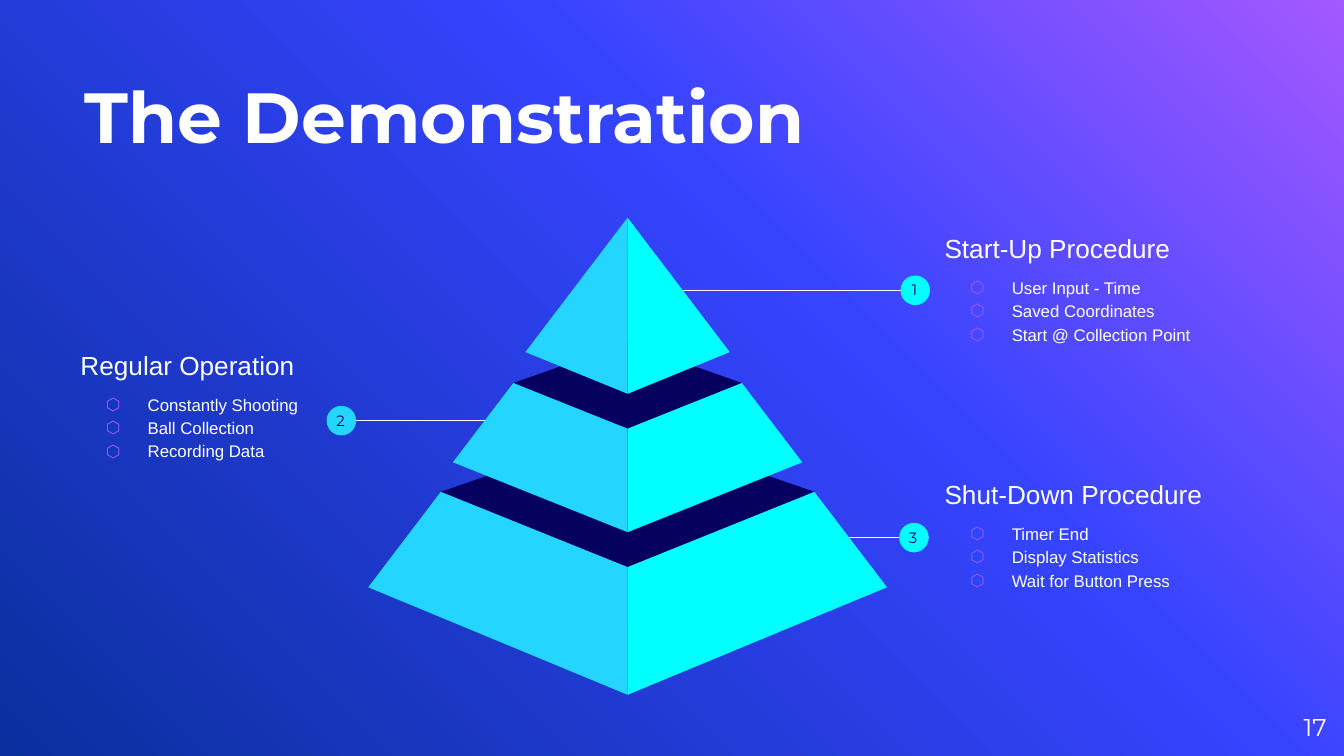
from copy import deepcopy

from lxml import etree
from pptx import Presentation
from pptx.dml.color import RGBColor
from pptx.enum.shapes import MSO_CONNECTOR, MSO_SHAPE
from pptx.enum.text import MSO_ANCHOR, MSO_AUTO_SIZE, PP_ALIGN
from pptx.oxml.ns import qn
from pptx.util import Inches, Pt

STRAIGHT = MSO_CONNECTOR.STRAIGHT
OVAL = MSO_SHAPE.OVAL
TOP, MIDDLE, BOTTOM = MSO_ANCHOR.TOP, MSO_ANCHOR.MIDDLE, MSO_ANCHOR.BOTTOM
LEFT, CENTER, RIGHT = PP_ALIGN.LEFT, PP_ALIGN.CENTER, PP_ALIGN.RIGHT
NO_AUTOFIT = MSO_AUTO_SIZE.NONE

COLORS = {
    "white": "FFFFFF",
    "violet": "A458FF",
    "blue": "3544FF",
    "navy": "0A2F9E",
    "ink": "050060",
    "cyan": "00FFFF",
    "sky": "24D6FF",
}


def paint(fill, color):
    fill.solid()
    fill.fore_color.rgb = RGBColor.from_string(COLORS[color])


def write(box, lines, size, font, color="white", align=LEFT, anchor=MIDDLE, inset=0.1):
    frame = box.text_frame
    frame.word_wrap = True
    frame.auto_size = NO_AUTOFIT
    frame.vertical_anchor = anchor
    frame.margin_left = frame.margin_right = Inches(inset)
    frame.margin_top = frame.margin_bottom = Inches(inset)
    frame.text = "\n".join(lines)
    for paragraph in frame.paragraphs:
        paragraph.alignment = align
        paragraph.font.size = Pt(size)
        paragraph.font.name = font
        paragraph.font.color.rgb = RGBColor.from_string(COLORS[color])
    return frame.paragraphs


prs = Presentation()
prs.slide_width = Inches(10)
prs.slide_height = prs.slide_width * 9 // 16
slide = prs.slides.add_slide(prs.slide_layouts[5])
shapes = slide.shapes

backdrop = slide.background.fill
backdrop.gradient()
backdrop.gradient_angle = 225
stop_list = slide.element.find(".//" + qn("a:gsLst"))
stop_list.append(deepcopy(stop_list[-1]))
gradient = [(0, "violet"), (0.39, "blue"), (1, "navy")]
for stop, (position, color) in zip(backdrop.gradient_stops, gradient):
    stop.position = position
    stop.color.rgb = RGBColor.from_string(COLORS[color])

title = shapes.title
title.left, title.top = Inches(0.63), Inches(0.23)
title.width, title.height = Inches(6.58), Inches(0.94)
heading = write(title, ["The Demonstration"], 38, "Montserrat", anchor=BOTTOM, inset=0)[0]
heading.font.bold = True

page_number = shapes.add_textbox(Inches(9.27), Inches(5.19), Inches(0.6), Inches(0.43))
write(page_number, ["17"], 13, "Montserrat", align=RIGHT, inset=0)

stages = [
    ("3", "Shut-Down Procedure", ["Timer End", "Display Statistics", "Wait for Button Press"],
     (6.93, 3.22, 2.17), (6.27, 6.91, 4.0), 6.8, "cyan"),
    ("2", "Regular Operation", ["Constantly Shooting", "Ball Collection", "Recording Data"],
     (0.5, 2.26, 1.91), (3.64, 2.5, 3.13), 2.54, "sky"),
    ("1", "Start-Up Procedure", ["User Input - Time", "Saved Coordinates", "Start @ Collection Point"],
     (6.93, 1.39, 2.17), (5.03, 6.91, 2.16), 6.81, "cyan"),
]
for number, stage, steps, (left, top, width), (start, end, y), badge_x, color in stages:
    leader = shapes.add_connector(STRAIGHT, Inches(start), Inches(y), Inches(end), Inches(y))
    leader.line.width = Pt(0.75)
    paint(leader.line.fill, "white")
    etree.SubElement(leader.element.spPr, qn("a:effectLst"))

    description = shapes.add_textbox(Inches(left), Inches(top), Inches(width), Inches(1.51))
    paragraphs = write(description, [stage] + steps, 14, "Arial")
    paragraphs[1].space_before = Pt(6)
    for step in paragraphs[1:]:
        step.font.size = Pt(9)
        step.line_spacing = 1.15
        properties = step._p.get_or_add_pPr()
        properties.set("marL", str(Inches(0.5)))
        properties.set("indent", str(Inches(-0.31)))
        bullet_color = etree.Element(qn("a:buClr"))
        etree.SubElement(bullet_color, qn("a:srgbClr"), val=COLORS["violet"])
        bullet_size = etree.Element(qn("a:buSzPts"), val="900")
        bullet_font = etree.Element(qn("a:buFont"), typeface="Arial")
        bullet = etree.Element(qn("a:buChar"), char="⬡")
        defaults = properties.find(qn("a:defRPr"))
        for part in (bullet_color, bullet_size, bullet_font, bullet):
            defaults.addprevious(part)

    badge = shapes.add_shape(OVAL, Inches(badge_x - 0.11), Inches(y - 0.11), Inches(0.22), Inches(0.22))
    badge.shadow.inherit = False
    badge.line.fill.background()
    paint(badge.fill, color)

    label = shapes.add_textbox(Inches(badge_x - 0.14), Inches(y - 0.17), Inches(0.27), Inches(0.34))
    digit = write(label, [number], 8, "Montserrat", "ink", CENTER, TOP)[0]
    digit.space_after = Pt(16)

AXIS = 4.67
tiers = [
    (3.18, [(3.28, 3.66), (2.74, 4.37), (AXIS, 5.17), (AXIS, 4.22)]),
    (2.55, [(3.82, 2.85), (3.37, 3.44), (AXIS, 3.96), (AXIS, 3.19)]),
    (None, [(AXIS, 1.62), (3.91, 2.62), (AXIS, 2.93)]),
]
for lid_back, left_face in tiers:
    right_face = [(2 * AXIS - x, y) for x, y in left_face]
    faces = [(left_face, "sky"), (right_face, "cyan")]
    if lid_back:
        lid = [left_face[0], left_face[-1], right_face[0], (AXIS, lid_back)]
        faces.insert(0, (lid, "ink"))
    for outline, color in faces:
        corners = [(Inches(x), Inches(y)) for x, y in outline]
        builder = shapes.build_freeform(*corners[0])
        builder.add_line_segments(corners[1:])
        face = builder.convert_to_shape()
        face.shadow.inherit = False
        face.line.fill.background()
        paint(face.fill, color)

prs.save("out.pptx")
